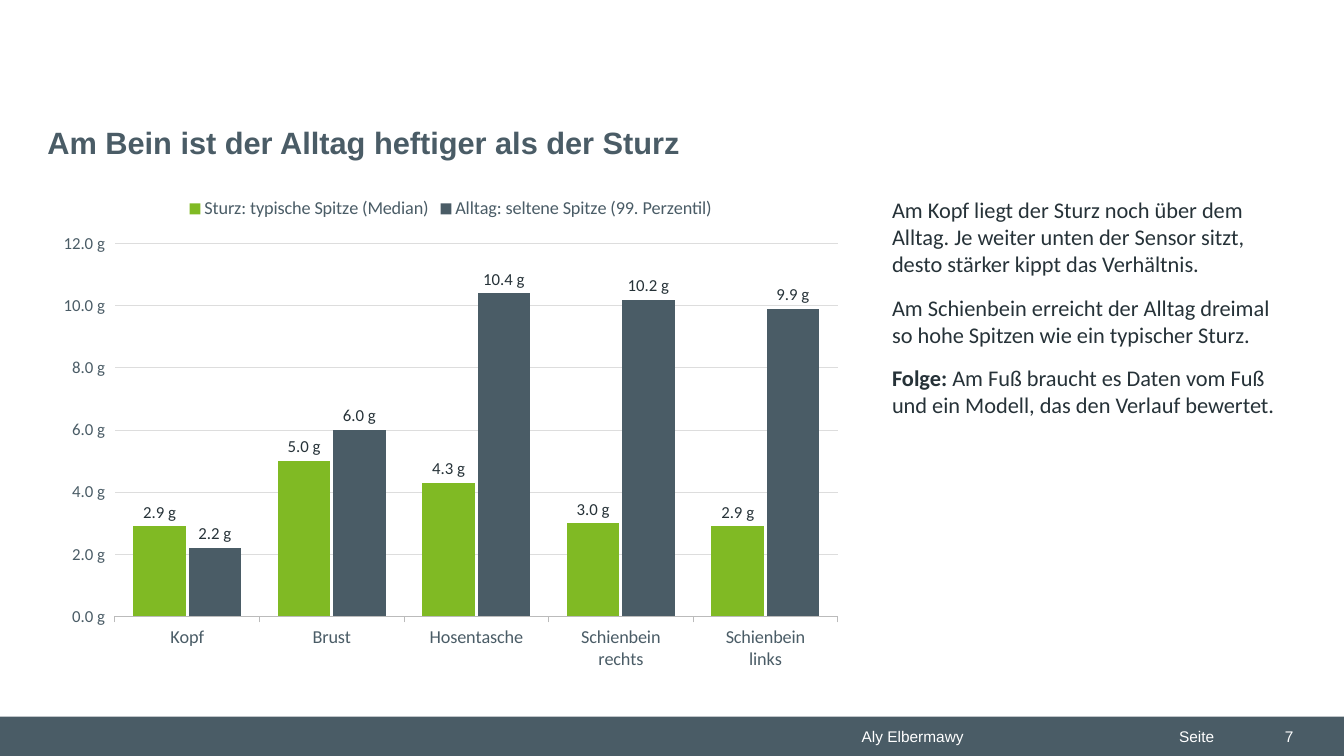
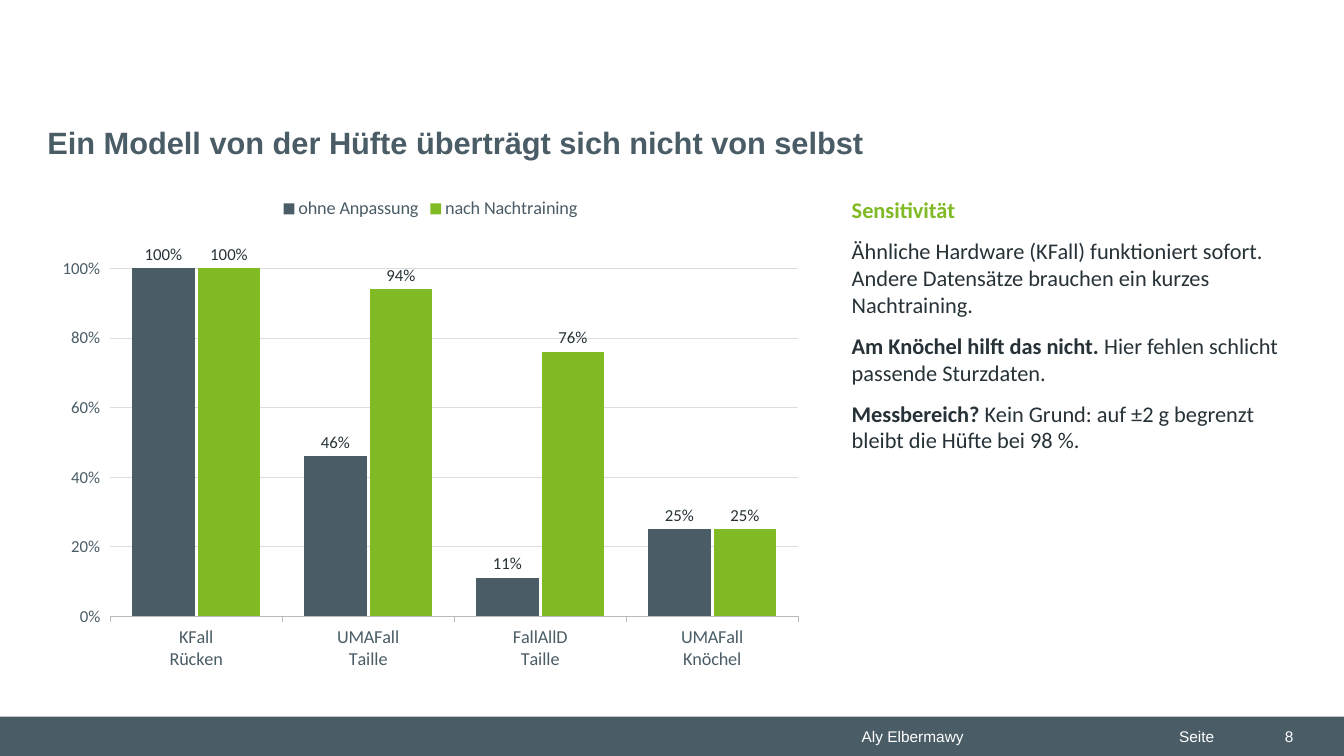
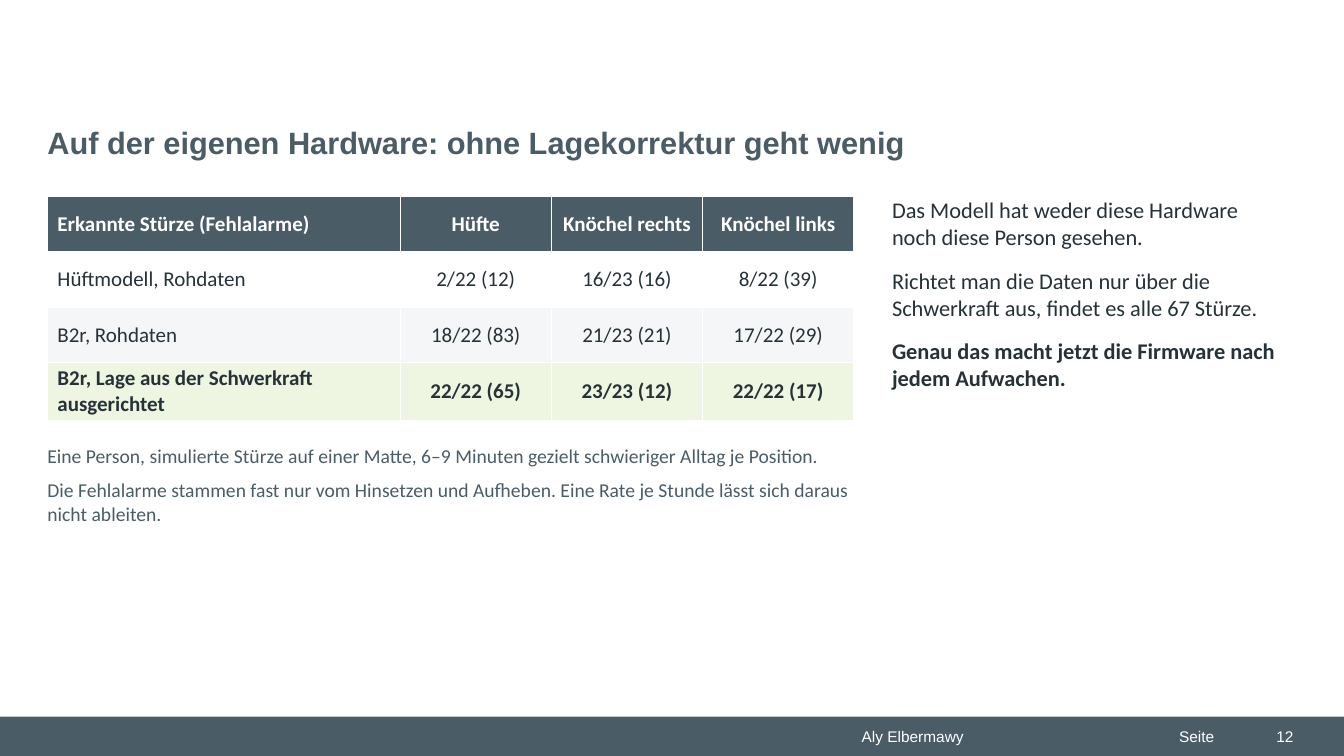
import pptx
import pptx.chart.data
import pptx.dml.color
import pptx.enum.chart
import pptx.enum.shapes
import pptx.enum.text
import pptx.oxml
import pptx.oxml.ns
import pptx.util

SLATE = pptx.dml.color.RGBColor(0x4A, 0x5C, 0x66)
GREEN = pptx.dml.color.RGBColor(0x80, 0xBA, 0x24)
INK = pptx.dml.color.RGBColor(0x26, 0x32, 0x38)
WHITE = pptx.dml.color.RGBColor(0xFF, 0xFF, 0xFF)
PALE_GREY = pptx.dml.color.RGBColor(0xF4, 0xF6, 0xF7)
PALE_GREEN = pptx.dml.color.RGBColor(0xEE, 0xF6, 0xE2)
AXIS_GREY = pptx.dml.color.RGBColor(0xBB, 0xBB, 0xBB)
GRID_GREY = pptx.dml.color.RGBColor(0xDD, 0xDD, 0xDD)

WIDTH, HEIGHT = 960, 540
LEFT, RIGHT, GAP = 33.84, 918, 27.36
CHART_TOP, TEXT_TOP, TEXT_HEIGHT = 133.2, 140.4, 345.6
FOOTER_TOP, FOOTER_HEIGHT = 515.5, 20.9

TITLE = {"name": "Arial", "size": 22, "bold": True, "color": SLATE}
FOOTER = {"name": "Arial", "size": 11, "color": WHITE}
BODY = {"name": "Calibri", "size": 16, "bold": False, "color": INK}
NOTE = {"name": "Calibri", "size": 14, "color": SLATE}
CELL = {"name": "Calibri", "size": 15, "bold": False, "color": INK}
BOLD = {"bold": True}
ALIGN = pptx.enum.text.PP_ALIGN
ANCHOR = pptx.enum.text.MSO_ANCHOR


def box(*lengths):
    return [pptx.util.Pt(v) for v in lengths]


def set_font(font, style):
    for key, value in style.items():
        if key == "color":
            font.color.rgb = value
        else:
            setattr(font, key, pptx.util.Pt(value) if key == "size" else value)


def set_frame(tf, insets, anchor=ANCHOR.TOP):
    sides = ("margin_left", "margin_top", "margin_right", "margin_bottom")
    for side, value in zip(sides, box(*insets)):
        setattr(tf, side, value)
    tf.word_wrap = True
    tf.auto_size = pptx.enum.text.MSO_AUTO_SIZE.NONE
    tf.vertical_anchor = anchor


def add_text(slide, area, paragraphs, style, space_after=0,
             insets=(0, 0, 0, 0), anchor=ANCHOR.TOP, align=ALIGN.LEFT):
    """Each paragraph is a list of (text, style changes) runs."""
    sp = slide.shapes.add_textbox(*box(*area))
    tf = sp.text_frame
    set_frame(tf, insets, anchor)
    for i, runs in enumerate(paragraphs):
        p = tf.paragraphs[0] if i == 0 else tf.add_paragraph()
        p.alignment = align
        p.space_after = pptx.util.Pt(space_after)
        for text, changes in runs:
            r = p.add_run()
            r.text = text
            set_font(r.font, {**style, **changes})
    return sp


def add_footer_text(slide, left, width, text, **options):
    return add_text(slide, (left, FOOTER_TOP, width, FOOTER_HEIGHT), [[(text, {})]],
                    FOOTER, insets=(7.2, 3.6, 7.2, 3.6), **options)


def add_band(slide):
    """Builds the footer band and moves it to the layout all slides share."""
    layout = slide.slide_layout
    for ph in list(layout.placeholders)[1:]:
        layout.shapes.element.remove(ph.element)
    band = slide.shapes.add_shape(pptx.enum.shapes.MSO_SHAPE.RECTANGLE,
                                  *box(0, 511.9, WIDTH, HEIGHT - 511.9))
    band.shadow.inherit = False
    band.fill.solid()
    band.fill.fore_color.rgb = SLATE
    band.line.fill.background()
    author = add_footer_text(slide, 608.4, 226.8, "Aly Elbermawy")
    page_label = add_footer_text(slide, 835.2, 60.5, "Seite")
    for sp in (band, author, page_label):
        layout.shapes.element.append(sp.element)


def add_slide(prs, title, page):
    slide = prs.slides.add_slide(prs.slide_layouts[5])
    if len(prs.slides) == 1:
        add_band(slide)
    sp = slide.shapes.title
    sp.left, sp.top, sp.width, sp.height = box(LEFT, 85, 884.16, 45.4)
    set_frame(sp.text_frame, (0, 3.6, 0, 3.6))
    p = sp.text_frame.paragraphs[0]
    p.alignment = ALIGN.LEFT
    r = p.add_run()
    r.text = title
    set_font(r.font, TITLE)
    add_footer_text(slide, 880.6, 50.4, str(page), anchor=ANCHOR.MIDDLE, align=ALIGN.RIGHT)
    return slide


def add_side_text(slide, main_width, paragraphs, space_after=12):
    left = LEFT + main_width + GAP
    add_text(slide, (left, TEXT_TOP, RIGHT - left, TEXT_HEIGHT), paragraphs, BODY, space_after)


def add_columns(slide, width, categories, series, fmt, maximum, step):
    """Clustered columns; series holds (name, colour, values)."""
    data = pptx.chart.data.CategoryChartData()
    data.categories = categories
    for name, _, values in series:
        data.add_series(name, values)
    chart = slide.shapes.add_chart(
        pptx.enum.chart.XL_CHART_TYPE.COLUMN_CLUSTERED,
        *box(LEFT, CHART_TOP, width, 352.8), data).chart
    set_font(chart.font, {"name": "Calibri", "size": 13, "color": SLATE})
    chart.has_title = False
    chart.has_legend = True
    chart.legend.position = pptx.enum.chart.XL_LEGEND_POSITION.TOP
    chart.legend.include_in_layout = False
    set_font(chart.legend.font, {"size": 13})

    # Axes
    axis = chart.category_axis
    set_font(axis.tick_labels.font, {"size": 13})
    axis.format.line.color.rgb = AXIS_GREY
    axis.format.line.width = pptx.util.Pt(0.75)
    axis = chart.value_axis
    scale = {"minimum_scale": 0, "maximum_scale": maximum, "major_unit": step,
             "has_major_gridlines": True}
    for key, value in scale.items():
        setattr(axis, key, value)
    set_font(axis.tick_labels.font, {"size": 12})
    axis.tick_labels.number_format = fmt
    axis.tick_labels.number_format_is_linked = False
    axis.format.line.fill.background()
    axis.major_gridlines.format.line.color.rgb = GRID_GREY
    axis.major_gridlines.format.line.width = pptx.util.Pt(0.75)

    # Columns and their labels
    plot = chart.plots[0]
    plot.gap_width, plot.overlap, plot.vary_by_categories = 70, -5, False
    for ser, (_, color, _) in zip(plot.series, series):
        ser.format.fill.solid()
        ser.format.fill.fore_color.rgb = color
        labels = ser.data_labels
        options = {"show_value": True, "number_format": fmt, "number_format_is_linked": False,
                   "position": pptx.enum.chart.XL_LABEL_POSITION.OUTSIDE_END}
        for key, value in options.items():
            setattr(labels, key, value)
        set_font(labels.font, {"size": 12, "color": INK})


def set_borders(cell):
    tcPr = cell._tc.get_or_add_tcPr()
    for i, side in enumerate("LRTB"):
        tcPr.insert(i, pptx.oxml.parse_xml(
            f'<a:ln{side} {pptx.oxml.ns.nsdecls("a")} w="12700"><a:solidFill>'
            f'<a:srgbClr val="{WHITE}"/></a:solidFill></a:ln{side}>'))


def add_results_table(slide, widths, rows):
    """Each row is (fill, font changes, cell texts)."""
    row_height = 39.6
    table = slide.shapes.add_table(
        len(rows), len(widths),
        *box(LEFT, TEXT_TOP, sum(widths), row_height * len(rows))).table
    table.horz_banding = False
    for column, width in zip(table.columns, widths):
        column.width = pptx.util.Pt(width)
    for i, (fill, changes, texts) in enumerate(rows):
        table.rows[i].height = pptx.util.Pt(row_height)
        for j, text in enumerate(texts):
            cell = table.cell(i, j)
            cell.fill.solid()
            cell.fill.fore_color.rgb = fill
            cell.vertical_anchor = ANCHOR.MIDDLE
            cell.margin_top = cell.margin_bottom = pptx.util.Pt(2.16)
            p = cell.text_frame.paragraphs[0]
            p.alignment = ALIGN.CENTER if j else ALIGN.LEFT
            r = p.add_run()
            r.text = text
            set_font(r.font, {**CELL, **changes})
            set_borders(cell)


def peaks_slide(prs):
    slide = add_slide(prs, "Am Bein ist der Alltag heftiger als der Sturz", 7)
    width = 576
    add_columns(slide, width,
                ["Kopf", "Brust", "Hosentasche", "Schienbein\nrechts", "Schienbein\nlinks"],
                [("Sturz: typische Spitze (Median)", GREEN, (2.9, 5, 4.3, 3, 2.9)),
                 ("Alltag: seltene Spitze (99. Perzentil)", SLATE, (2.2, 6, 10.4, 10.2, 9.9))],
                '0.0" g"', 12, 2)
    add_side_text(slide, width, [
        [("Am Kopf liegt der Sturz noch über dem Alltag. Je weiter unten der Sensor sitzt, "
          "desto stärker kippt das Verhältnis.", {})],
        [("Am Schienbein erreicht der Alltag dreimal so hohe Spitzen wie ein typischer Sturz.", {})],
        [("Folge: ", BOLD),
         ("Am Fuß braucht es Daten vom Fuß und ein Modell, das den Verlauf bewertet.", {})]])


def transfer_slide(prs):
    slide = add_slide(prs, "Ein Modell von der Hüfte überträgt sich nicht von selbst", 8)
    width = 547.2
    add_columns(slide, width,
                ["KFall\nRücken", "UMAFall\nTaille", "FallAllD\nTaille", "UMAFall\nKnöchel"],
                [("ohne Anpassung", SLATE, (100, 46, 11, 25)),
                 ("nach Nachtraining", GREEN, (100, 94, 76, 25))],
                '0"%"', 110, 20)
    add_side_text(slide, width, [
        [("Sensitivität", {"bold": True, "color": GREEN})],
        [("Ähnliche Hardware (KFall) funktioniert sofort. "
          "Andere Datensätze brauchen ein kurzes Nachtraining.", {})],
        [("Am Knöchel hilft das nicht. ", BOLD),
         ("Hier fehlen schlicht passende Sturzdaten.", {})],
        [("Messbereich? ", BOLD),
         ("Kein Grund: auf ±2 g begrenzt bleibt die Hüfte bei 98 %.", {})]], 10)


def hardware_slide(prs):
    slide = add_slide(prs, "Auf der eigenen Hardware: ohne Lagekorrektur geht wenig", 12)
    widths = [252, 108, 108, 108]
    add_results_table(slide, widths, [
        (SLATE, {"bold": True, "color": WHITE},
         ["Erkannte Stürze (Fehlalarme)", "Hüfte", "Knöchel rechts", "Knöchel links"]),
        (WHITE, {}, ["Hüftmodell, Rohdaten", "2/22 (12)", "16/23 (16)", "8/22 (39)"]),
        (PALE_GREY, {}, ["B2r, Rohdaten", "18/22 (83)", "21/23 (21)", "17/22 (29)"]),
        (PALE_GREEN, BOLD, ["B2r, Lage aus der Schwerkraft ausgerichtet",
                            "22/22 (65)", "23/23 (12)", "22/22 (17)"])])
    add_text(slide, (LEFT, 316.8, sum(widths), 165.6), [
        [("Eine Person, simulierte Stürze auf einer Matte, 6–9 Minuten gezielt schwieriger "
          "Alltag je Position.", {})],
        [("Die Fehlalarme stammen fast nur vom Hinsetzen und Aufheben. Eine Rate je Stunde "
          "lässt sich daraus nicht ableiten.", {})]], NOTE, 8)
    add_side_text(slide, sum(widths), [
        [("Das Modell hat weder diese Hardware noch diese Person gesehen.", {})],
        [("Richtet man die Daten nur über die Schwerkraft aus, findet es alle 67 Stürze.", {})],
        [("Genau das macht jetzt die Firmware nach jedem Aufwachen.", BOLD)]])


def main():
    prs = pptx.Presentation()
    prs.slide_width, prs.slide_height = box(WIDTH, HEIGHT)
    peaks_slide(prs)
    transfer_slide(prs)
    hardware_slide(prs)
    prs.save("out.pptx")


if __name__ == "__main__":
    main()
